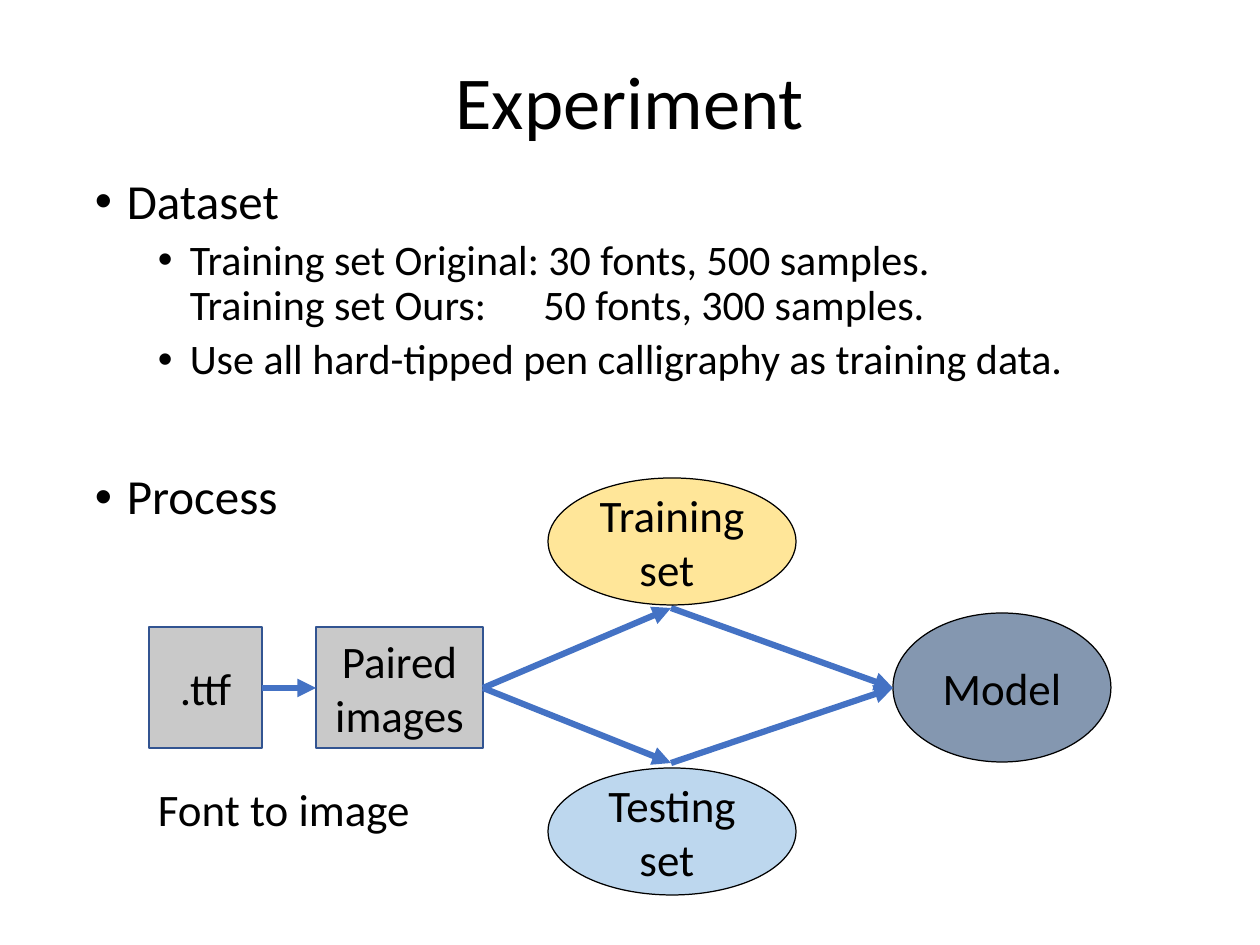
from dataclasses import dataclass

from lxml import etree
from pptx import Presentation
from pptx import util as u
from pptx.dml.color import RGBColor
from pptx.enum import shapes, text
from pptx.oxml.ns import qn

EMU_PER_PX = 10160


@dataclass(frozen=True)
class Theme:
    font: str = "Calibri"
    title: float = 59.7
    topic: float = 39.2
    detail: float = 33.6
    label: float = 36
    ink: str = "000000"
    arrow: str = "4472C4"
    data: str = "C9C9C9"
    data_edge: str = "325491"
    training: str = "FFE699"
    testing: str = "BDD7EE"
    model: str = "8497B0"


THEME = Theme()


def px(*lengths):
    return [u.Emu(length * EMU_PER_PX) for length in lengths]


def color(code):
    return RGBColor.from_string(code)


def write(para, words, *, size=THEME.label, align=None, spacing=None, before=0, gap=None):
    """Add words as one run; gap is extra letter spacing in points."""
    if align is not None:
        para.alignment = align
    if spacing:
        para.line_spacing = spacing
    para.space_before = u.Pt(before)
    span = para.add_run()
    span.text = words
    span.font.name = THEME.font
    span.font.size = u.Pt(size)
    span.font.color.rgb = color(THEME.ink)
    if gap:
        span.font._element.set("spc", str(gap * 100))
    return para


def add_text_box(page, place, anchor=text.MSO_ANCHOR.TOP):
    frame = page.shapes.add_textbox(*px(*place)).text_frame
    frame.word_wrap = True
    frame.vertical_anchor = anchor
    return frame


def set_bullet(para, margin, hanging=32):
    props = para._p.get_or_add_pPr()
    props.set("marL", str(margin * EMU_PER_PX))
    props.set("indent", str(-hanging * EMU_PER_PX))
    etree.SubElement(props, qn("a:buFont"), typeface="Arial")
    etree.SubElement(props, qn("a:buChar"), char="•")


def add_topic(para, words, before=14):
    write(para, words, size=THEME.topic, spacing=0.9, before=before)
    set_bullet(para, 32)


def add_detail(para, words):
    para.level = 1
    write(para, words, size=THEME.detail, spacing=0.9, before=7)
    set_bullet(para, 95)


def add_node(page, kind, place, words, fill, edge=THEME.ink, weight=1):
    node = page.shapes.add_shape(kind, *px(*place))
    node.shadow.inherit = False
    node.fill.solid()
    node.fill.fore_color.rgb = color(fill)
    node.line.color.rgb = color(edge)
    node.line.width = u.Pt(weight)
    frame = node.text_frame
    frame.word_wrap = True
    frame.vertical_anchor = text.MSO_ANCHOR.MIDDLE
    write(frame.paragraphs[0], words, align=text.PP_ALIGN.CENTER)


def add_arrow(page, start, end):
    arrow = page.shapes.add_connector(shapes.MSO_CONNECTOR.STRAIGHT, *px(*start, *end))
    arrow.line.color.rgb = color(THEME.arrow)
    arrow.line.width = u.Pt(5)
    etree.SubElement(arrow.line._get_or_add_ln(), qn("a:tailEnd"), type="triangle")
    etree.SubElement(arrow._element.spPr, qn("a:effectLst"))


def add_outline(page):
    title = add_text_box(page, (86, 14, 1087, 183), text.MSO_ANCHOR.MIDDLE)
    write(title.paragraphs[0], "Experiment", size=THEME.title,
          align=text.PP_ALIGN.CENTER, spacing=0.9)

    body = add_text_box(page, (86, 173, 1087, 721))
    add_topic(body.paragraphs[0], "Dataset")
    sets = body.add_paragraph()
    add_detail(sets, "Training set Original: 30 fonts, 500 samples.")
    sets.add_line_break()
    for words, gap in (("Training set Ours:", None), (" ", 38), ("50 fonts, 300 samples.", None)):
        write(sets, words, size=THEME.detail, before=7, gap=gap)
    add_detail(body.add_paragraph(), "Use all hard-tipped pen calligraphy as training data.")
    add_topic(body.add_paragraph(), "Process", before=71)


def add_process(page):
    rect, oval = shapes.MSO_SHAPE.RECTANGLE, shapes.MSO_SHAPE.OVAL
    for left, width, words in ((149, 113, ".ttf"), (316, 167, "Paired images")):
        add_node(page, rect, (left, 627, width, 121), words, THEME.data, THEME.data_edge, 2)
    add_node(page, oval, (893, 613, 218, 149), "Model", THEME.model)

    caption = add_text_box(page, (149, 777, 278, 64))
    write(caption.paragraphs[0], "Font to image")

    middle = 688
    images, model = (483, middle), (893, middle)
    add_arrow(page, (262, middle), (316, middle))
    for joint in ((671, 608), (671, 763)):
        add_arrow(page, images, joint)
        add_arrow(page, joint, model)

    for top, words, fill in ((478, "Training set ", THEME.training),
                             (768, "Testing set ", THEME.testing)):
        add_node(page, oval, (548, top, 248, 127), words, fill)


def main():
    deck = Presentation()
    deck.slide_width, deck.slide_height = px(1260, 945)
    page = deck.slides.add_slide(deck.slide_layouts[6])
    add_outline(page)
    add_process(page)
    deck.save("out.pptx")


if __name__ == "__main__":
    main()
